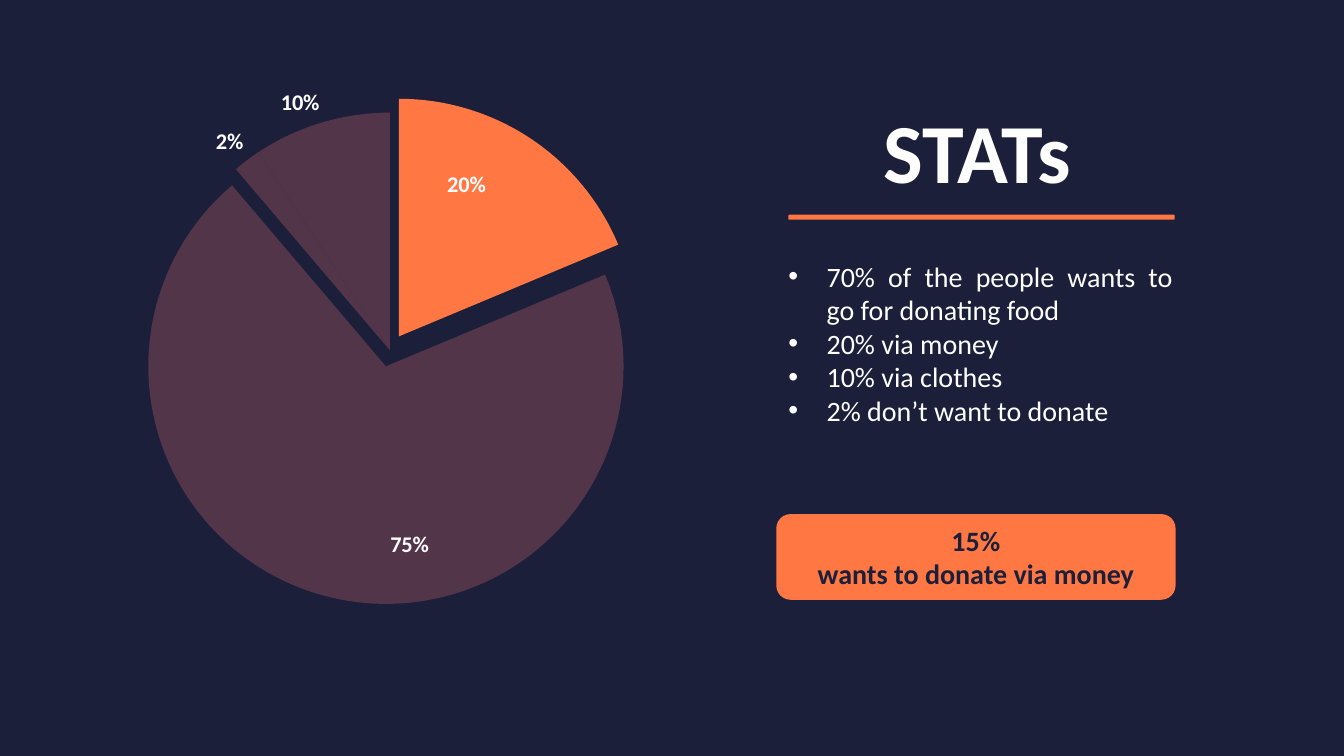
from lxml import etree
from pptx import Presentation
from pptx.chart.data import CategoryChartData
from pptx.dml.color import RGBColor
from pptx.enum.chart import XL_CHART_TYPE, XL_LABEL_POSITION
from pptx.enum.shapes import MSO_SHAPE
from pptx.enum.text import MSO_ANCHOR, MSO_AUTO_SIZE, PP_ALIGN
from pptx.oxml import parse_xml
from pptx.oxml.ns import nsdecls, qn
from pptx.util import Inches, Pt

FONT = "Calibri"
COLORS = {"navy": "1B1F3A", "orange": "FF7844", "plum": "53354A", "white": "FFFFFF"}

# Share, colour, explosion, label position, label shift (fraction of chart size)
SLICES = [
    (0.20, "orange", 7, XL_LABEL_POSITION.INSIDE_END, (-0.05, 0.05)),
    (0.75, "plum", 7, XL_LABEL_POSITION.INSIDE_END, (0.07, -0.06)),
    (0.02, "plum", 0, XL_LABEL_POSITION.OUTSIDE_END, None),
    (0.10, "plum", 0, XL_LABEL_POSITION.OUTSIDE_END, None),
]
FINDINGS = [
    "70% of the people wants to go for donating food",
    "20% via money",
    "10% via clothes",
    "2% don’t want to donate",
]


def paint(fill, color):
    fill.solid()
    fill.fore_color.rgb = RGBColor.from_string(COLORS[color])


def style_font(font, size, color, bold=False):
    font.name = FONT
    font.size = Pt(size)
    font.bold = bold
    font.color.rgb = RGBColor.from_string(COLORS[color])


def write_lines(frame, lines, size, color, align, bold=False):
    frame.word_wrap = True
    for index, line in enumerate(lines):
        para = frame.paragraphs[0] if index == 0 else frame.add_paragraph()
        para.text = line
        para.alignment = align
        style_font(para.font, size, color, bold)


def add_text(page, left, top, width, height, lines, size, align, bold=False):
    box = page.shapes.add_textbox(Inches(left), Inches(top), Inches(width), Inches(height))
    write_lines(box.text_frame, lines, size, "white", align, bold)
    box.text_frame.auto_size = MSO_AUTO_SIZE.SHAPE_TO_FIT_TEXT
    return box


def add_bullets(box):
    for para in box.text_frame.paragraphs:
        properties = para._p.get_or_add_pPr()
        properties.set("marL", str(Inches(0.38)))
        properties.set("indent", str(-Inches(0.38)))
        etree.SubElement(properties, qn("a:buFont")).set("typeface", "Arial")
        etree.SubElement(properties, qn("a:buChar")).set("char", "•")
        # Bullet properties come before the default run properties
        properties.append(properties.find(qn("a:defRPr")))


def add_bar(page, left, top, width, height):
    bar = page.shapes.add_shape(
        MSO_SHAPE.ROUNDED_RECTANGLE, Inches(left), Inches(top), Inches(width), Inches(height)
    )
    bar.shadow.inherit = False
    paint(bar.fill, "orange")
    bar.line.fill.background()
    return bar


def manual_layout(inner="", **values):
    fields = "".join(f'<c:{name} val="{value}"/>' for name, value in values.items())
    return parse_xml(
        f"<c:layout {nsdecls('c')}><c:manualLayout>{inner}{fields}</c:manualLayout></c:layout>"
    )


def place_plot(chart):
    area = chart._chartSpace.chart.plotArea
    for layout in area.findall(qn("c:layout")):
        area.remove(layout)
    inner = '<c:layoutTarget val="inner"/><c:xMode val="edge"/><c:yMode val="edge"/>'
    area.insert(0, manual_layout(inner, x=0.22, y=0.06, w=0.57, h=0.86))


def style_slice(point, color, explosion, position, shift):
    paint(point.format.fill, color)
    element = point.format.fill._xPr.getparent()
    exploded = etree.Element(qn("c:explosion"))
    exploded.set("val", str(explosion))
    element.find(qn("c:spPr")).addprevious(exploded)

    label = point.data_label
    style_font(label.font, 16, "white", True)
    label.position = position
    if shift:
        label._dLbl.find(qn("c:idx")).addnext(manual_layout(x=shift[0], y=shift[1]))


def add_pie(page, left, top, width, height):
    data = CategoryChartData(number_format="0%")
    data.categories = [str(number) for number in range(1, len(SLICES) + 1)]
    data.add_series("Series 1", [share for share, *_ in SLICES])
    chart = page.shapes.add_chart(
        XL_CHART_TYPE.PIE, Inches(left), Inches(top), Inches(width), Inches(height), data
    ).chart
    chart.has_title = False
    chart.has_legend = False
    style_font(chart.font, 10, "white")
    place_plot(chart)

    plot = chart.plots[0]
    plot.vary_by_categories = True
    series = plot.series[0]
    labels = series.data_labels
    labels.show_value = True
    labels.number_format = "0%"
    labels.number_format_is_linked = False
    labels.position = XL_LABEL_POSITION.INSIDE_END
    style_font(labels.font, 16, "white", True)
    for index, (_, *look) in enumerate(SLICES):
        style_slice(series.points[index], *look)


def main():
    deck = Presentation()
    deck.slide_width, deck.slide_height = Inches(13.33), Inches(7.5)
    page = deck.slides.add_slide(deck.slide_layouts[6])
    paint(page.background.fill, "navy")

    # Chart
    add_pie(page, -0.31, 0.78, 8.27, 5.5)

    # Heading with rule
    add_text(page, 7.64, 0.94, 4.1, 1.11, ["STATs"], 60, PP_ALIGN.CENTER, True)
    add_bar(page, 7.82, 2.13, 3.83, 0.05)

    # Findings
    add_bullets(add_text(page, 7.72, 2.52, 4.01, 1.78, FINDINGS, 20, PP_ALIGN.JUSTIFY))

    # Callout
    callout = add_bar(page, 7.7, 5.1, 3.96, 0.85)
    callout.text_frame.vertical_anchor = MSO_ANCHOR.MIDDLE
    lines = ["15%", "wants to donate via money"]
    write_lines(callout.text_frame, lines, 20, "navy", PP_ALIGN.CENTER, True)

    deck.save("out.pptx")


if __name__ == "__main__":
    main()
